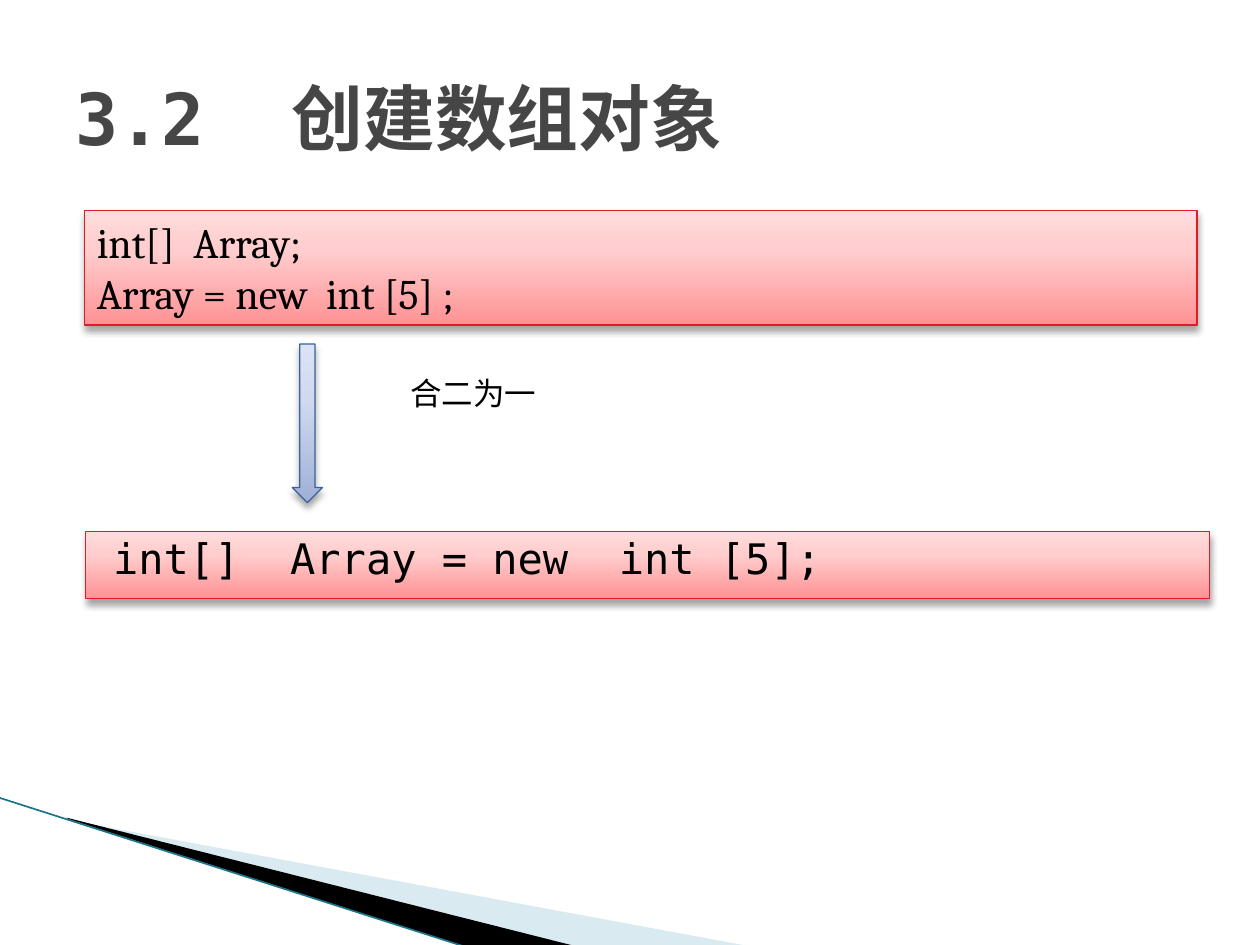
"""Build a slide that merges array declaration and creation into one statement."""
import pptx
import pptx.util
import pptx.dml.color
import pptx.enum.shapes
import pptx.enum.text
import pptx.oxml
import pptx.oxml.ns

Inches = pptx.util.Inches
MSO_SHAPE = pptx.enum.shapes.MSO_SHAPE
ALIGN = pptx.enum.text.PP_ALIGN
ANCHOR = pptx.enum.text.MSO_ANCHOR
MONO = "DejaVu Sans Mono"


def color(value):
    return pptx.dml.color.RGBColor.from_string(value)


def write(shape, text, size=24, font="Cambria", ink="000000", bold=False,
          align=ALIGN.LEFT, anchor=ANCHOR.TOP):
    frame = shape.text_frame
    frame.word_wrap = True
    frame.vertical_anchor = anchor
    frame.text = text
    for paragraph in frame.paragraphs:
        paragraph.alignment = align
        for run in paragraph.runs:
            run.font.size = pptx.util.Pt(size)
            run.font.name = font
            run.font.bold = bold
            run.font.color.rgb = color(ink)
    return frame


presentation = pptx.Presentation()
presentation.slide_width = Inches(10)
presentation.slide_height = Inches(7.5)
slide = presentation.slides.add_slide(presentation.slide_layouts[5])

wedges = [
    ("A0CBDC", 40, [(0.55, 6.51), (5.95, 7.51), (4.56, 7.51), (0.55, 6.5)]),
    ("000000", 100, [(0.53, 6.49), (4.57, 7.51), (3.72, 7.52), (0.54, 6.5)]),
]
for fill, opacity, points in wedges:
    corners = [(Inches(x), Inches(y)) for x, y in points]
    builder = slide.shapes.build_freeform(*corners[0])
    builder.add_line_segments(corners[1:], close=True)
    wedge = builder.convert_to_shape()
    wedge.shadow.inherit = False
    wedge.fill.solid()
    wedge.fill.fore_color.rgb = color(fill)
    wedge.line.fill.background()
    solid = wedge._element.spPr.find(pptx.oxml.ns.qn("a:solidFill"))
    solid[0].append(pptx.oxml.parse_xml(
        f'<a:alpha {pptx.oxml.ns.nsdecls("a")} val="{opacity * 1000}"/>'))

edge = slide.shapes.add_connector(
    pptx.enum.shapes.MSO_CONNECTOR.STRAIGHT,
    Inches(-0.01), Inches(6.33), Inches(3.71), Inches(7.52))
edge.line.color.rgb = color("1B7488")
edge.line.width = pptx.util.Pt(0.95)
edge._element.spPr.append(pptx.oxml.parse_xml(
    f'<a:effectLst {pptx.oxml.ns.nsdecls("a")}/>'))

title = slide.shapes.title
title.left, title.top, title.width, title.height = map(Inches, (0.5, 0.3, 9, 1.25))
write(title, "3.2  创建数组对象", size=41, font=MONO, ink="464646", bold=True,
      anchor=ANCHOR.MIDDLE)

red = ("FF9294", "FFCDCD", "FFDCDC")
blue = ("9FAFD6", "D0D9EF", "DCE3F6")
panels = [
    (MSO_SHAPE.RECTANGLE, (0.67, 1.67, 8.83, 0.91), red, "DA1F28"),
    (MSO_SHAPE.RECTANGLE, (0.68, 4.22, 8.92, 0.53), red, "DA1F28"),
    (MSO_SHAPE.DOWN_ARROW, (2.32, 2.73, 0.24, 1.26), blue, "39639D"),
]
shapes = []
for kind, box, shades, outline in panels:
    shape = slide.shapes.add_shape(kind, *map(Inches, box))
    shape.line.color.rgb = color(outline)
    shape.line.width = pptx.util.Pt(0.75)
    shape.shadow.inherit = False
    stops = "".join(
        f'<a:gs pos="{position * 1000}"><a:srgbClr val="{shade}"/></a:gs>'
        for position, shade in zip((0, 65, 100), shades))
    properties = shape._element.spPr
    properties.find(pptx.oxml.ns.qn("a:prstGeom")).addnext(pptx.oxml.parse_xml(
        f'<a:gradFill {pptx.oxml.ns.nsdecls("a")} rotWithShape="1">'
        f'<a:gsLst>{stops}</a:gsLst><a:lin ang="16200000" scaled="0"/></a:gradFill>'))
    properties.find(pptx.oxml.ns.qn("a:effectLst")).append(pptx.oxml.parse_xml(
        f'<a:outerShdw {pptx.oxml.ns.nsdecls("a")} blurRad="50800" dist="38100" '
        'dir="5400000" rotWithShape="0"><a:srgbClr val="000000">'
        '<a:alpha val="35000"/></a:srgbClr></a:outerShdw>'))
    shapes.append(shape)
two_steps, one_step, arrow = shapes

write(two_steps, "int[]  Array;\nArray = new  int [5] ;")
statement = write(one_step, "int[]  Array = new  int [5];", font=MONO).paragraphs[0]
statement.line_spacing = 0.9
statement.space_before = pptx.util.Pt(4)
indent = statement._p.get_or_add_pPr()
indent.set("marL", str(Inches(0.4)))
indent.set("indent", str(Inches(-0.28)))

callout = slide.shapes.add_shape(
    MSO_SHAPE.RECTANGULAR_CALLOUT, *map(Inches, (2.17, 2.92, 3.17, 0.75)))
callout.adjustments[0], callout.adjustments[1] = 0.38, 3.58
callout.shadow.inherit = False
callout.fill.background()
callout.line.fill.background()
write(callout, "合二为一", size=18, align=ALIGN.CENTER)

presentation.save("out.pptx")
